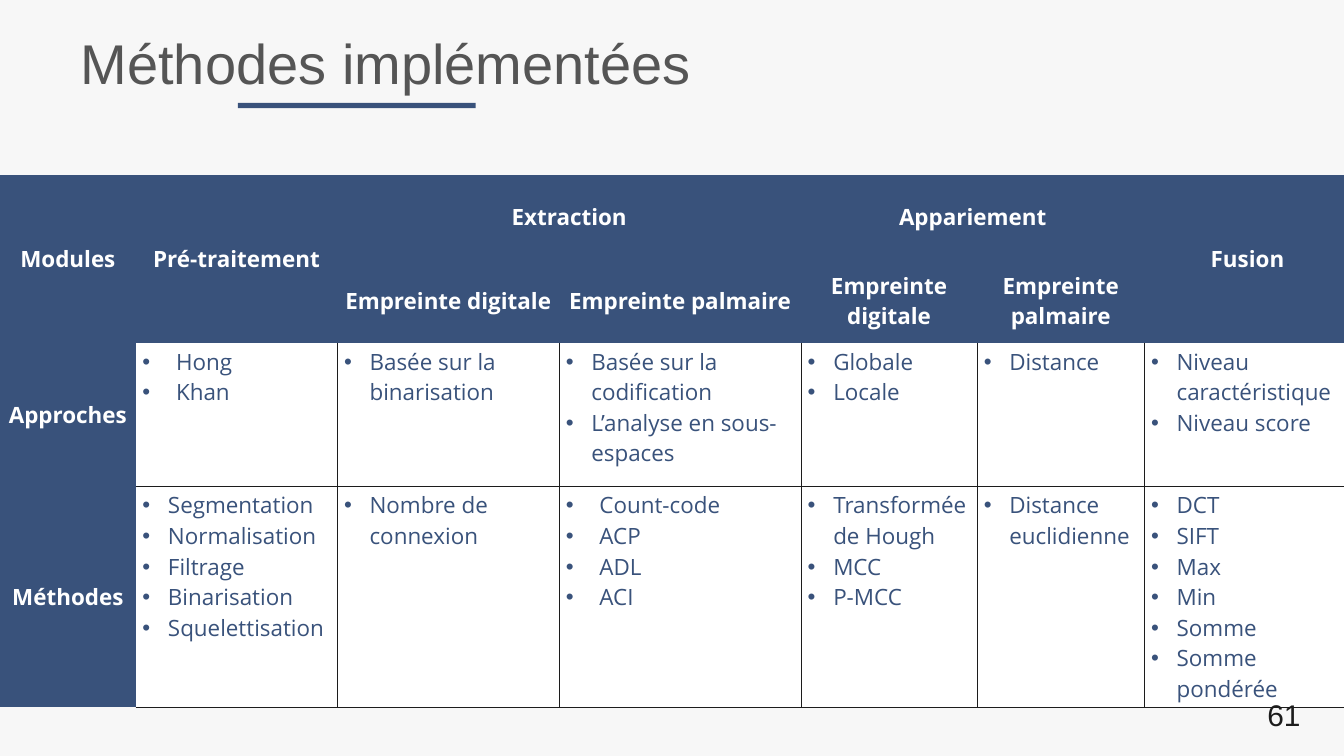
import dataclasses

import lxml.etree
import pptx
import pptx.dml.color
import pptx.enum.shapes
import pptx.enum.text
import pptx.oxml.ns
import pptx.util

PX = 9144
ALIGN = pptx.enum.text.PP_ALIGN
ANCHOR = pptx.enum.text.MSO_ANCHOR
qn = pptx.oxml.ns.qn


@dataclasses.dataclass(frozen=True)
class Theme:
    background: str = "F7F7F7"
    accent: str = "39527B"
    title: str = "555555"
    ink: str = "1C1C1C"
    white: str = "FFFFFF"
    title_font: str = "Arial"
    table_font: str = "Open Sans"
    title_size: int = 60
    table_size: int = 24
    number_size: int = 32
    border_width: int = 1


THEME = Theme()
NO_GRID_STYLE = "{2D5ABB26-0587-4C30-8999-92F81FD0307C}"
COLUMN_WIDTHS = [202, 300, 330, 360, 262, 249, 307]
ROW_HEIGHTS = [125, 125, 214, 230]
HEADINGS = [
    (0, 0, 2, 1, "Modules"),
    (0, 1, 2, 1, "Pré-traitement"),
    (0, 2, 1, 2, "Extraction"),
    (0, 4, 1, 2, "Appariement"),
    (0, 6, 2, 1, "Fusion"),
    (1, 2, 1, 1, "Empreinte digitale"),
    (1, 3, 1, 1, "Empreinte palmaire"),
    (1, 4, 1, 1, "Empreinte digitale"),
    (1, 5, 1, 1, "Empreinte palmaire"),
    (2, 0, 1, 1, "Approches"),
    (3, 0, 1, 1, "Méthodes"),
]
NARROW, WIDE = 38, 50
APPROACHES = [
    (WIDE, ["Hong", "Khan"]),
    (NARROW, ["Basée sur la binarisation"]),
    (NARROW, ["Basée sur la codification", "L’analyse en sous-espaces"]),
    (NARROW, ["Globale", "Locale"]),
    (NARROW, ["Distance"]),
    (NARROW, ["Niveau caractéristique", "Niveau score"]),
]
METHODS = [
    (NARROW, ["Segmentation", "Normalisation", "Filtrage", "Binarisation", "Squelettisation"]),
    (NARROW, ["Nombre de connexion"]),
    (WIDE, ["Count-code", "ACP", "ADL", "ACI"]),
    (NARROW, ["Transformée de Hough", "MCC", "P-MCC"]),
    (NARROW, ["Distance euclidienne"]),
    (NARROW, ["DCT", "SIFT", "Max", "Min", "Somme", "Somme pondérée"]),
]


def rgb(color):
    return pptx.dml.color.RGBColor.from_string(color)


def emu(box):
    return [length * PX for length in box]


def write(frame, lines, *, font, size, color, bold=False, align=ALIGN.LEFT, bullet_indent=0):
    for index, line in enumerate(lines):
        paragraph = frame.paragraphs[0] if index == 0 else frame.add_paragraph()
        paragraph.alignment = align
        run = paragraph.add_run()
        run.text = line
        run.font.name = font
        run.font.size = pptx.util.Pt(size)
        run.font.bold = bold
        run.font.color.rgb = rgb(color)
        if bullet_indent:
            properties = paragraph._p.get_or_add_pPr()
            properties.set("marL", str(bullet_indent * PX))
            properties.set("indent", str(-bullet_indent * PX))
            lxml.etree.SubElement(properties, qn("a:buFont"), typeface="Arial")
            lxml.etree.SubElement(properties, qn("a:buChar"), char="•")


def draw_borders(cell, sides):
    properties = cell._tc.get_or_add_tcPr()
    for side in sides:
        width = str(pptx.util.Pt(THEME.border_width))
        line = lxml.etree.SubElement(properties, qn(f"a:ln{side}"), w=width)
        fill = lxml.etree.SubElement(line, qn("a:solidFill"))
        lxml.etree.SubElement(fill, qn("a:srgbClr"), val=THEME.ink)


def fill_cell(cell, color):
    cell.fill.solid()
    cell.fill.fore_color.rgb = rgb(color)


def add_heading(slide, box):
    left, top, width, height = box
    underline = slide.shapes.add_shape(
        pptx.enum.shapes.MSO_SHAPE.RECTANGLE, *emu((left + 252, top + 126, 354, 8)))
    underline.shadow.inherit = False
    underline.fill.solid()
    underline.fill.fore_color.rgb = rgb(THEME.accent)
    underline.line.fill.background()

    title = slide.shapes.title
    title.left, title.top, title.width, title.height = emu(box)
    frame = title.text_frame
    frame.auto_size = pptx.enum.text.MSO_AUTO_SIZE.NONE
    frame.vertical_anchor = ANCHOR.MIDDLE
    frame.margin_left = frame.margin_right = 18 * PX
    frame.margin_top = frame.margin_bottom = 9 * PX
    write(frame, ["Méthodes implémentées"], font=THEME.title_font,
          size=THEME.title_size, color=THEME.title)


def add_methods_table(slide, box):
    modules = slide.shapes.add_table(len(ROW_HEIGHTS), len(COLUMN_WIDTHS), *emu(box))
    table = modules.table
    table.first_row = table.horz_banding = False
    table._tbl.tblPr.find(qn("a:tableStyleId")).text = NO_GRID_STYLE
    for column, width in zip(table.columns, COLUMN_WIDTHS):
        column.width = width * PX
    for row, height in zip(table.rows, ROW_HEIGHTS):
        row.height = height * PX
    modules.height = box[3] * PX

    for row in range(len(ROW_HEIGHTS)):
        for column in range(len(COLUMN_WIDTHS)):
            if row < 2 or column == 0:
                fill_cell(table.cell(row, column), THEME.accent)

    for row, column, row_span, column_span, label in HEADINGS:
        cell = table.cell(row, column)
        if row_span * column_span > 1:
            cell.merge(table.cell(row + row_span - 1, column + column_span - 1))
        cell.vertical_anchor = ANCHOR.MIDDLE
        write(cell.text_frame, [label], font=THEME.table_font, size=THEME.table_size,
              color=THEME.white, bold=True, align=ALIGN.CENTER)

    for row, entries in enumerate([APPROACHES, METHODS], start=2):
        for column, (indent, items) in enumerate(entries, start=1):
            cell = table.cell(row, column)
            draw_borders(cell, ("L" if column > 1 else "") + "R" + ("T" if row > 2 else "") + "B")
            fill_cell(cell, THEME.white)
            write(cell.text_frame, items, font=THEME.table_font, size=THEME.table_size,
                  color=THEME.accent, bullet_indent=indent)


def add_page_number(slide, box):
    number = slide.shapes.add_textbox(*emu(box))
    number.text_frame.word_wrap = True
    write(number.text_frame, ["61"], font=THEME.title_font,
          size=THEME.number_size, color=THEME.ink)


def main():
    deck = pptx.Presentation()
    deck.slide_width, deck.slide_height = emu((2000, 1125))
    slide = deck.slides.add_slide(deck.slide_layouts.get_by_name("Title Only"))
    slide.background.fill.solid()
    slide.background.fill.fore_color.rgb = rgb(THEME.background)
    add_heading(slide, (102, 27, 1798, 132))
    add_methods_table(slide, (0, 260, sum(COLUMN_WIDTHS), 755))
    add_page_number(slide, (1876, 1032, 118, 60))
    deck.save("out.pptx")


if __name__ == "__main__":
    main()
